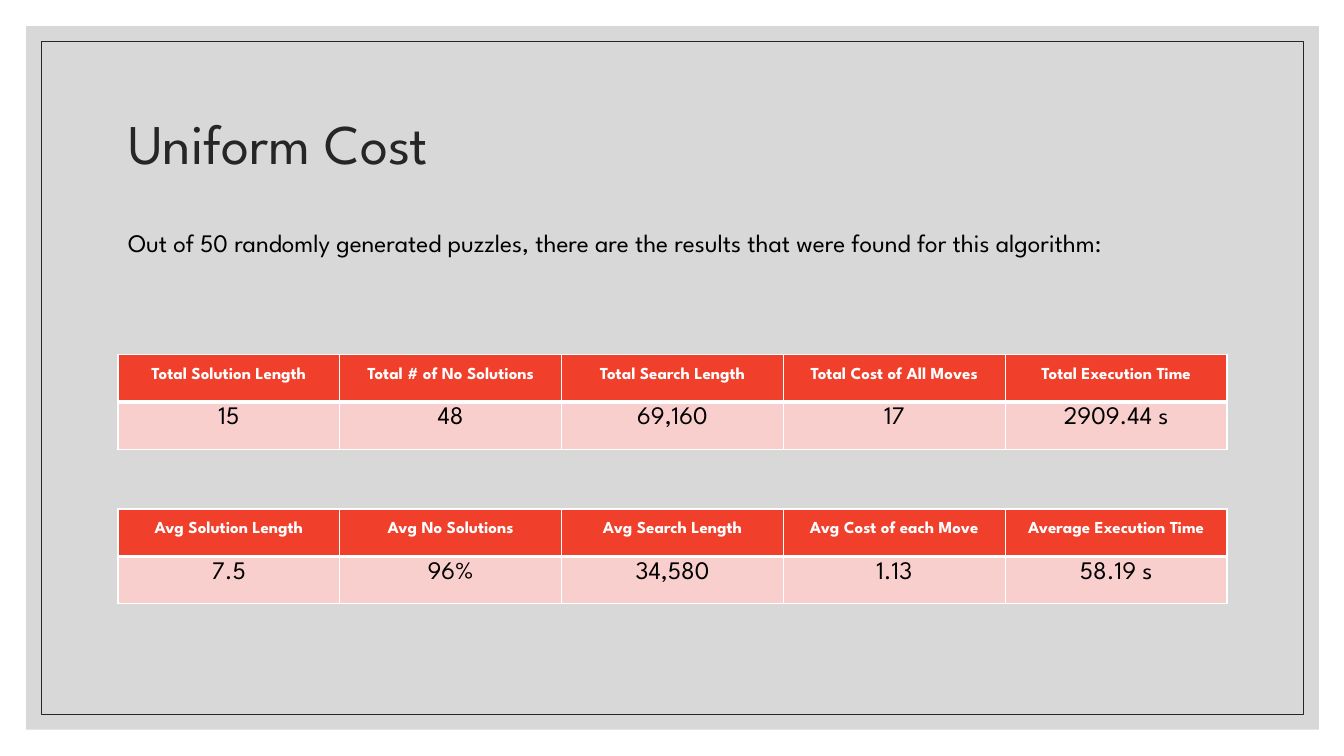
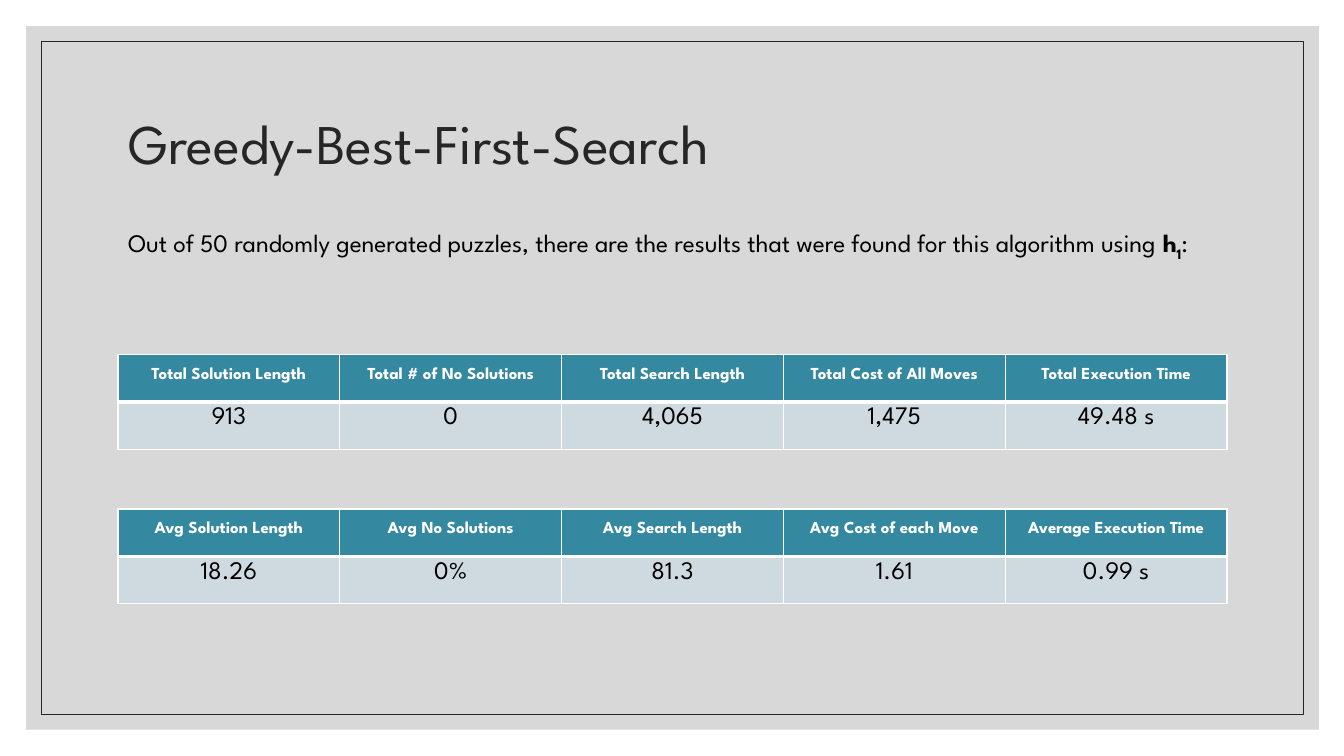
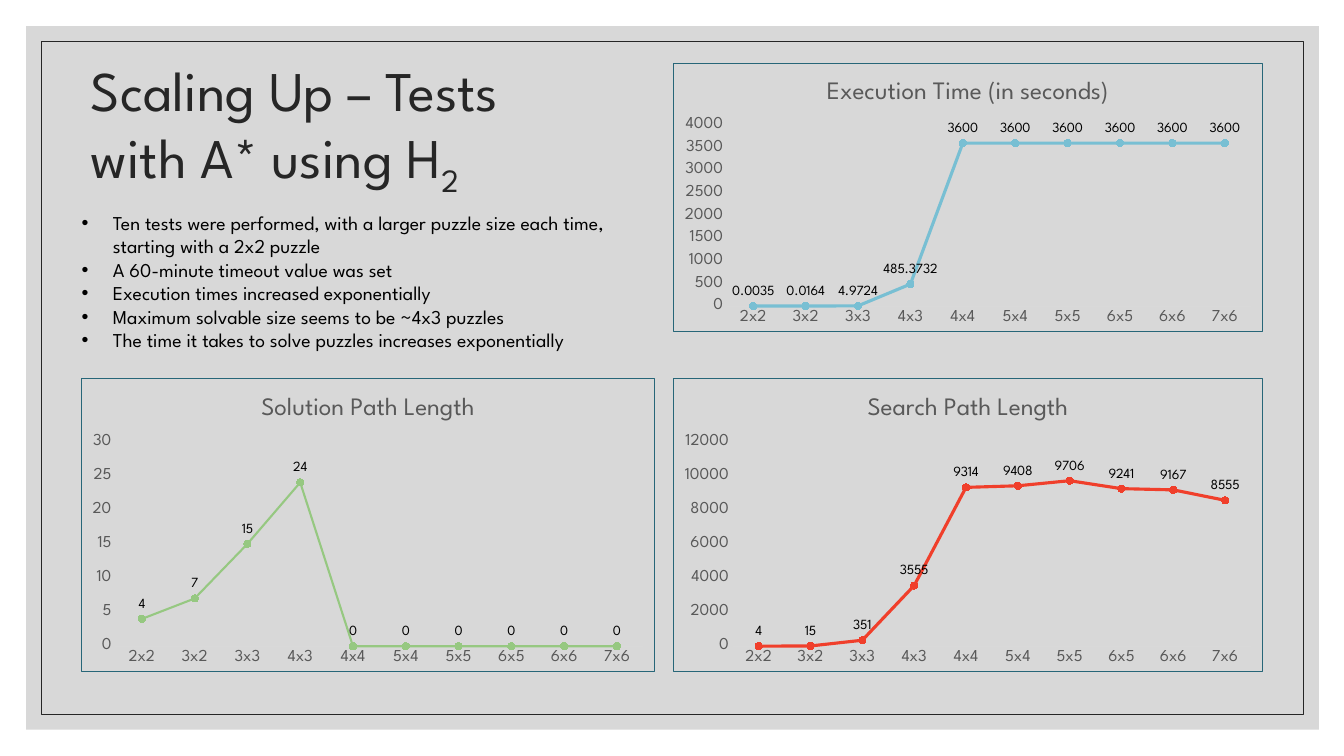
from pptx import Presentation
from pptx.chart.data import CategoryChartData
from pptx.dml.color import RGBColor
from pptx.enum.chart import XL_CHART_TYPE as ChartType, XL_LABEL_POSITION as LabelPosition
from pptx.enum.chart import XL_MARKER_STYLE as MarkerStyle, XL_TICK_MARK as TickMark
from pptx.enum.shapes import MSO_SHAPE as Shape
from pptx.enum.text import MSO_ANCHOR as Anchor, MSO_AUTO_SIZE as AutoSize, PP_ALIGN as Align
from pptx.oxml import parse_xml
from pptx.oxml.ns import nsdecls, qn
from pptx.util import Inches, Pt

FONT = "League Spartan"
WHITE, BLACK, INK, GRAY = "FFFFFF", "000000", "262626", "595959"
RED, TEAL, SKY, GREEN = "F03F2B", "3488A0", "78BFD3", "96C881"
PALE_RED, PALE_TEAL, BORDER = "F9CFCD", "CEDADF", "276678"
TOTAL_HEADS = ["Total Solution Length", "Total # of No Solutions", "Total Search Length",
               "Total Cost of All Moves", "Total Execution Time"]
AVERAGE_HEADS = ["Avg Solution Length", "Avg No Solutions", "Avg Search Length",
                 "Avg Cost of each Move", "Average Execution Time"]
PUZZLE_SIZES = ["2x2", "3x2", "3x3", "4x3", "4x4", "5x4", "5x5", "6x5", "6x6", "7x6"]
INTRO = "Out of 50 randomly generated puzzles, there are the results that were found for this algorithm"


def color(value):
    """Turn a hex string into a colour."""
    return RGBColor.from_string(value)


def assign(target, values):
    """Set each named attribute of the target."""
    for name, value in values.items():
        setattr(target, name, value)


def place(box, area):
    """Move a box to left, top, width and height in inches."""
    assign(box, dict(zip(("left", "top", "width", "height"), map(Inches, area))))


def set_font(font, size, ink, bold=False):
    """Give a font the deck's typeface, a size and a colour."""
    assign(font, {"name": FONT, "size": Pt(size), "bold": bold})
    font.color.rgb = color(ink)


def set_borders(cell, widths):
    """Draw white cell borders in the order left, right, top, bottom."""
    for index, (side, width) in enumerate(zip("LRTB", widths)):
        cell._tc.get_or_add_tcPr().insert(index, parse_xml(
            f'<a:ln{side} {nsdecls("a")} w="{Pt(width)}"><a:solidFill>'
            f'<a:srgbClr val="{WHITE}"/></a:solidFill></a:ln{side}>'))


class Report:
    """Hold the deck style and the current page."""

    def __init__(self):
        """Start a wide deck."""
        self.deck = Presentation()
        assign(self.deck, {"slide_width": Inches(13.33), "slide_height": Inches(7.5)})
        self.layout = self.deck.slide_layouts[1]
        self.page = None

    def add_page(self, area, *spans):
        """Add a page with a title, framing the layout the first time."""
        first = self.page is None
        self.page = self.deck.slides.add_slide(self.layout)
        if first:
            self.frame_layout()
        title = self.page.shapes.title
        place(title, area)
        assign(title.text_frame, {"vertical_anchor": Anchor.MIDDLE, "auto_size": AutoSize.NONE})
        para = title.text_frame.paragraphs[0]
        assign(para, {"alignment": Align.LEFT, "line_spacing": 0.9})
        self.add_spans(para, spans, 40, INK)

    def frame_layout(self):
        """Put the gray panel and its thin outline on the shared layout."""
        panel, outline = (self.page.shapes.add_shape(Shape.RECTANGLE, *map(Inches, area))
                          for area in ((0.26, 0.26, 12.82, 6.98), (0.41, 0.41, 12.52, 6.68)))
        panel.fill.solid()
        panel.fill.fore_color.rgb = color("BFBFBF")
        tint = next(panel.element.iter(qn("a:srgbClr")))
        tint.append(parse_xml(f'<a:alpha {nsdecls("a")} val="60000"/>'))
        panel.line.fill.background()
        outline.fill.background()
        outline.line.color.rgb = color(INK)
        outline.line.width = Pt(0.5)
        for index, box in enumerate((panel, outline), 2):
            box.shadow.inherit = False
            self.layout.shapes.element.insert(index, box.element)

    def add_spans(self, para, spans, size, ink):
        """Add spans, each a string or a (text, bold, baseline) tuple."""
        for item in spans:
            if item == "\n":
                para.add_line_break()
                continue
            text, bold, baseline = (item, False, 0) if isinstance(item, str) else item
            span = para.add_run()
            span.text = text
            set_font(span.font, size, ink, bold)
            if baseline:
                span._r.get_or_add_rPr().set("baseline", str(baseline * 1000))

    def add_body(self, area, lines, size, bulleted=False):
        """Fill the body placeholder with one paragraph per list of spans."""
        body = self.page.placeholders[1]
        place(body, area)
        frame = body.text_frame
        frame.auto_size = AutoSize.NONE
        indent = Inches(0.31) if bulleted else 0
        bullet = 'buChar {} char="•"' if bulleted else "buNone {}"
        for index, spans in enumerate(lines):
            para = frame.add_paragraph() if index else frame.paragraphs[0]
            para.space_before = Pt(0)
            settings = para._p.get_or_add_pPr()
            settings.set("marL", str(indent))
            settings.set("indent", str(-indent))
            settings.append(parse_xml(f"<a:{bullet.format(nsdecls('a'))}/>"))
            self.add_spans(para, spans, size, BLACK)

    def add_results(self, top, heads, values, head_fill, value_fill):
        """Add a table with a header row and a row of values."""
        table = self.page.shapes.add_table(
            2, len(heads), *map(Inches, (1.17, top, 11, 0.94))).table
        table.horz_banding = False
        rows = ((heads, head_fill, 12, WHITE, True, 1.5, (1, 1, 1, 3)),
                (values, value_fill, 18, BLACK, False, 1.0, (1, 1, 3, 1)))
        for row, (texts, fill, size, ink, bold, spacing, widths) in enumerate(rows):
            for column, text in enumerate(texts):
                cell = table.cell(row, column)
                cell.fill.solid()
                cell.fill.fore_color.rgb = color(fill)
                set_borders(cell, widths)
                para = cell.text_frame.paragraphs[0]
                assign(para, {"alignment": Align.CENTER, "line_spacing": spacing})
                self.add_spans(para, [(text, bold, 0)], size, ink)

    def add_line_chart(self, area, title, values, ink, step, top, width=2.25):
        """Add a bordered line chart with markers and value labels."""
        data = CategoryChartData()
        data.categories = PUZZLE_SIZES
        data.add_series("Series 1", values)
        chart = self.page.shapes.add_chart(
            ChartType.LINE_MARKERS, *map(Inches, area), data).chart
        set_font(chart.font, 10, BLACK)
        assign(chart, {"has_legend": False, "has_title": True})
        self.add_spans(chart.chart_title.text_frame.paragraphs[0], [title], 18, GRAY)
        chart.element.find(qn("c:chart")).addnext(parse_xml(
            f'<c:spPr {nsdecls("c", "a")}><a:noFill/><a:ln w="{Pt(0.75)}"><a:solidFill>'
            f'<a:srgbClr val="{BORDER}"/></a:solidFill></a:ln></c:spPr>'))
        for axis in (chart.category_axis, chart.value_axis):
            assign(axis, {"has_major_gridlines": False, "major_tick_mark": TickMark.NONE,
                          "minor_tick_mark": TickMark.NONE})
            set_font(axis.tick_labels.font, 12, GRAY)
        chart.category_axis.format.line.color.rgb = color("D9D9D9")
        chart.category_axis.format.line.width = Pt(0.75)
        chart.value_axis.format.line.fill.background()
        assign(chart.value_axis, {"minimum_scale": 0, "maximum_scale": top, "major_unit": step})
        plot = chart.plots[0]
        plot.vary_by_categories = False
        series = plot.series[0]
        series.smooth = False
        series.format.line.color.rgb = color(ink)
        series.format.line.width = Pt(width)
        assign(series.marker, {"style": MarkerStyle.CIRCLE, "size": 5})
        series.marker.format.fill.solid()
        series.marker.format.fill.fore_color.rgb = color(ink)
        series.marker.format.line.color.rgb = color(ink)
        labels = series.data_labels
        assign(labels, {"show_value": True, "position": LabelPosition.ABOVE,
                        "number_format": "General", "number_format_is_linked": False})
        set_font(labels.font, 10, BLACK)

    def add_algorithm(self, title, ending, totals, averages, *fills):
        """Add a page with the total and average results of one algorithm."""
        self.add_page((1.17, 0.7, 11, 1.5), title)
        self.add_body((1.17, 2.21, 11, 0.71), [[INTRO, *ending]], 18)
        self.add_results(3.52, TOTAL_HEADS, totals, *fills)
        self.add_results(5.05, AVERAGE_HEADS, averages, *fills)


def main():
    """Build the deck."""
    report = Report()
    report.add_algorithm("Uniform Cost", [":"],
                         ["15", "48", "69,160", "17", "2909.44 s"],
                         ["7.5", "96%", "34,580", "1.13", "58.19 s"], RED, PALE_RED)
    report.add_algorithm("Greedy-Best-First-Search",
                         [" using ", ("h", True, 0), ("1", True, -25), ":"],
                         ["913", "0", "4,065", "1,475", "49.48 s"],
                         ["18.26", "0%", "81.3", "1.61", "0.99 s"], TEAL, PALE_TEAL)
    report.add_page((0.8, 0.52, 5.7, 1.5), "Scaling Up – Tests", "\n",
                    "with A* using H", ("2", False, -25))
    report.add_body((0.71, 2.04, 5.79, 1.75), [
        ["Ten tests were performed, with a larger puzzle size each time, starting with a 2x2 puzzle"],
        ["A 60-minute timeout value was set"],
        ["Execution times increased exponentially"],
        ["Maximum solvable size seems to be ~4x3 puzzles"],
        ["The time it takes to solve puzzles increases exponentially"]], 14, bulleted=True)
    report.add_line_chart((6.67, 0.62, 5.86, 2.67), "Execution Time (in seconds)",
                          [0.0035, 0.0164, 4.9724, 485.3732] + [3600] * 6, SKY, 500, 4000)
    report.add_line_chart((6.67, 3.75, 5.86, 2.92), "Search Path Length",
                          [4, 15, 351, 3555, 9314, 9408, 9706, 9241, 9167, 8555],
                          RED, 2000, 12000)
    report.add_line_chart((0.8, 3.75, 5.7, 2.92), "Solution Path Length",
                          [4, 7, 15, 24] + [0] * 6, GREEN, 5, 30, width=1.5)
    report.deck.save("out.pptx")


if __name__ == "__main__":
    main()
